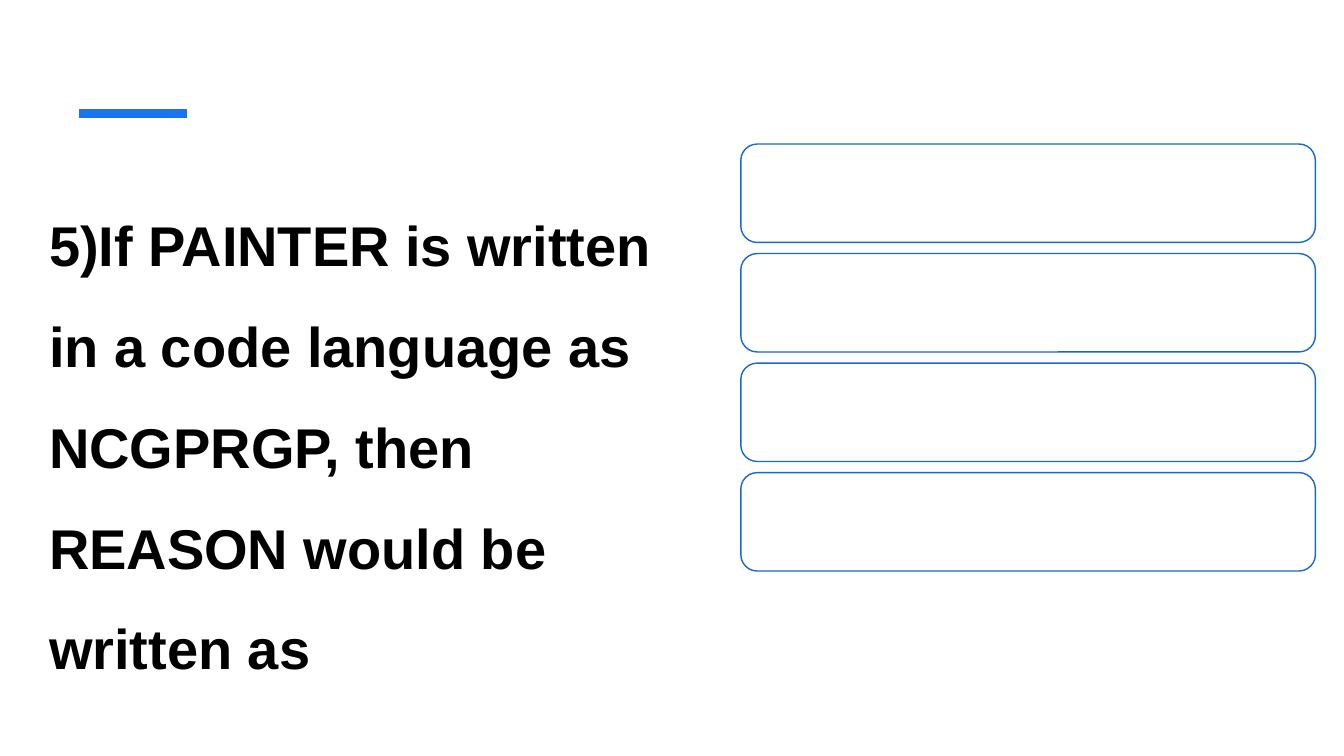
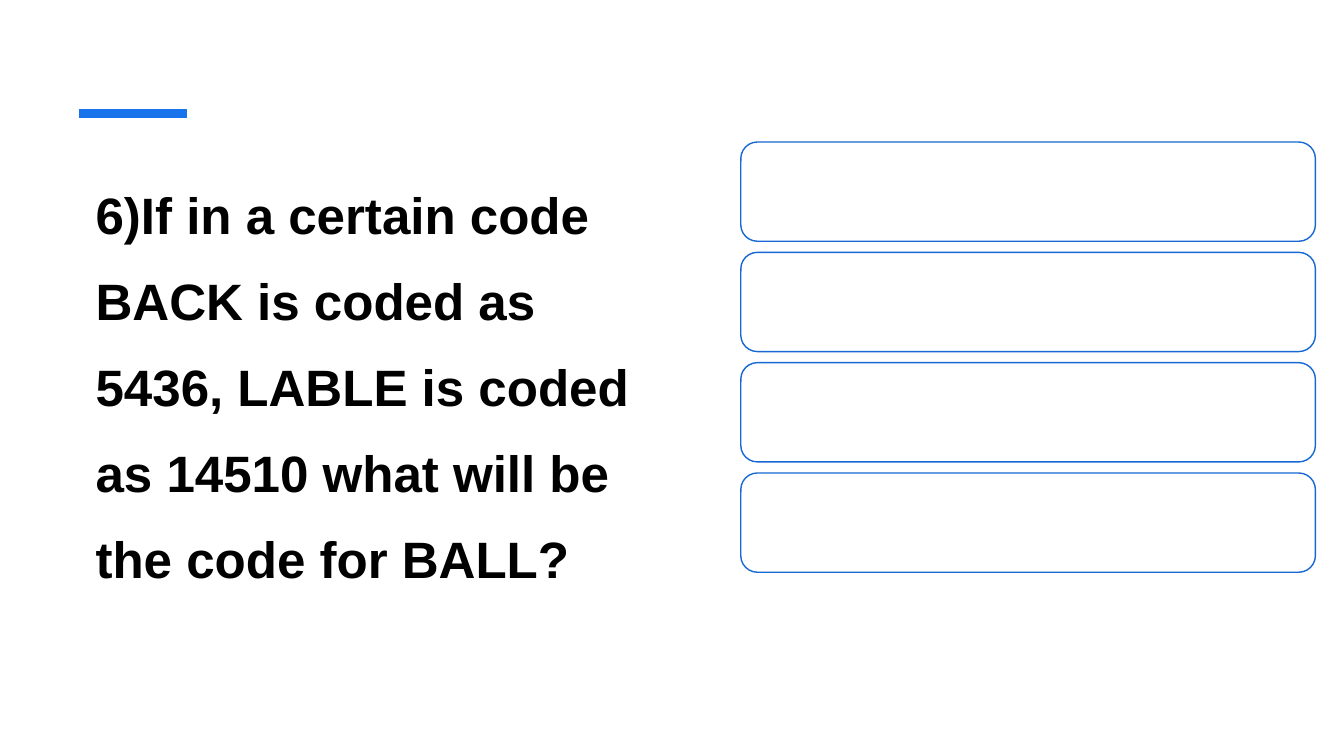
"""Build two coding-decoding quiz slides with empty answer boxes."""
from dataclasses import dataclass

from pptx import Presentation
from pptx.dml.color import RGBColor
from pptx.enum.shapes import MSO_CONNECTOR, MSO_SHAPE
from pptx.enum.text import MSO_ANCHOR, MSO_AUTO_SIZE, PP_ALIGN
from pptx.oxml.xmlchemy import OxmlElement
from pptx.presentation import Presentation as Deck
from pptx.slide import Slide
from pptx.util import Cm, Pt

ROUNDED = MSO_SHAPE.ROUNDED_RECTANGLE
STRAIGHT = MSO_CONNECTOR.STRAIGHT
TOP = MSO_ANCHOR.TOP
NO_FIT = MSO_AUTO_SIZE.NONE
LEFT = PP_ALIGN.LEFT


@dataclass(frozen=True)
class Theme:
    font: str = "Arial"
    ink: RGBColor = RGBColor(0x00, 0x00, 0x00)
    paper: RGBColor = RGBColor(0xFF, 0xFF, 0xFF)
    accent: RGBColor = RGBColor(0x19, 0x73, 0xEB)
    outline: RGBColor = RGBColor(0x17, 0x68, 0xD5)
    large: float = 40
    medium: float = 36.5
    space_before: float = 10
    accent_width: float = 6
    outline_width: float = 1


@dataclass(frozen=True)
class Question:
    text: str
    left: float
    top: float
    width: float
    height: float
    size: float
    spacing: float


@dataclass(frozen=True)
class Answers:
    top: float
    height: float
    left: float = 18.67
    width: float = 14.48
    gap: float = 0.28
    count: int = 4


THEME = Theme()
QUIZ = (
    (
        Question(
            "5)If PAINTER is written in a code language as NCGPRGP, "
            "then REASON would be written as",
            0.99, 4.34, 16.33, 9.3, THEME.large, 1.5,
        ),
        Answers(3.63, 2.48),
    ),
    (
        Question(
            "6)If in a certain code BACK is coded as 5436, LABLE is coded "
            "as 14510 what will be the code for BALL?",
            2.16, 3.89, 14.48, 11.25, THEME.medium, 1.4,
        ),
        Answers(3.58, 2.5),
    ),
)


def add_accent(s: Slide) -> None:
    line = s.shapes.add_connector(STRAIGHT, Cm(1.99), Cm(2.86), Cm(4.71), Cm(2.86))
    line.line.color.rgb = THEME.accent
    line.line.width = Pt(THEME.accent_width)
    line._element.spPr.append(OxmlElement("a:effectLst"))


def add_question(s: Slide, q: Question) -> None:
    sp = s.shapes.add_textbox(Cm(q.left), Cm(q.top), Cm(q.width), Cm(q.height))
    tf = sp.text_frame
    tf.word_wrap = True
    tf.auto_size = NO_FIT
    tf.vertical_anchor = TOP
    p = tf.paragraphs[0]
    p.alignment = LEFT
    p.line_spacing = q.spacing
    p.space_before = Pt(THEME.space_before)
    r = p.add_run()
    r.text = q.text
    r.font.name = THEME.font
    r.font.size = Pt(q.size)
    r.font.bold = True
    r.font.color.rgb = THEME.ink


def add_answers(s: Slide, a: Answers) -> None:
    group = s.shapes.add_group_shape()
    for i in range(a.count):
        top = a.top + i * (a.height + a.gap)
        sp = group.shapes.add_shape(
            ROUNDED, Cm(a.left), Cm(top), Cm(a.width), Cm(a.height)
        )
        sp.shadow.inherit = False
        sp.fill.solid()
        sp.fill.fore_color.rgb = THEME.paper
        sp.line.color.rgb = THEME.outline
        sp.line.width = Pt(THEME.outline_width)


def add_quiz_slide(prs: Deck, q: Question, a: Answers) -> None:
    s = prs.slides.add_slide(prs.slide_layouts[6])
    s.background.fill.solid()
    s.background.fill.fore_color.rgb = THEME.paper
    add_accent(s)
    add_question(s, q)
    add_answers(s, a)


def main() -> None:
    prs = Presentation()
    prs.slide_width, prs.slide_height = Cm(33.87), Cm(19.05)
    for q, a in QUIZ:
        add_quiz_slide(prs, q, a)
    prs.save("out.pptx")


if __name__ == "__main__":
    main()
